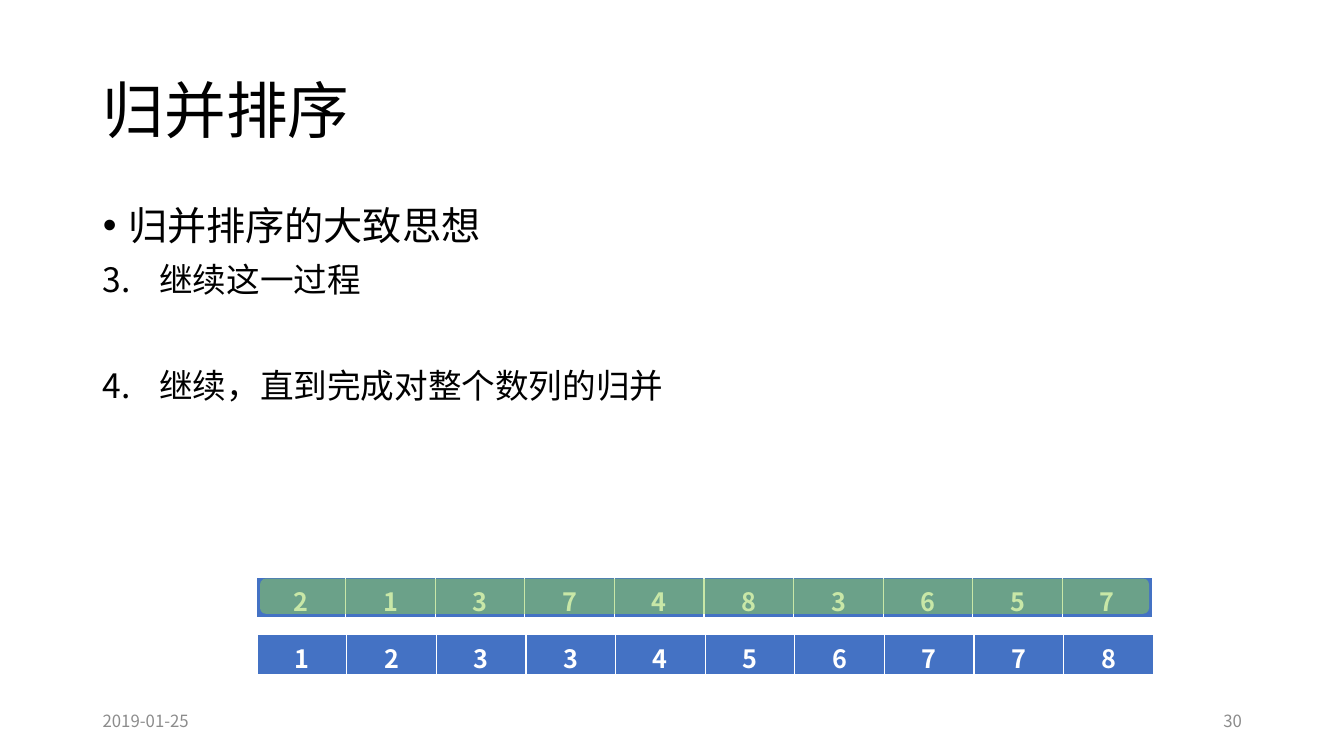
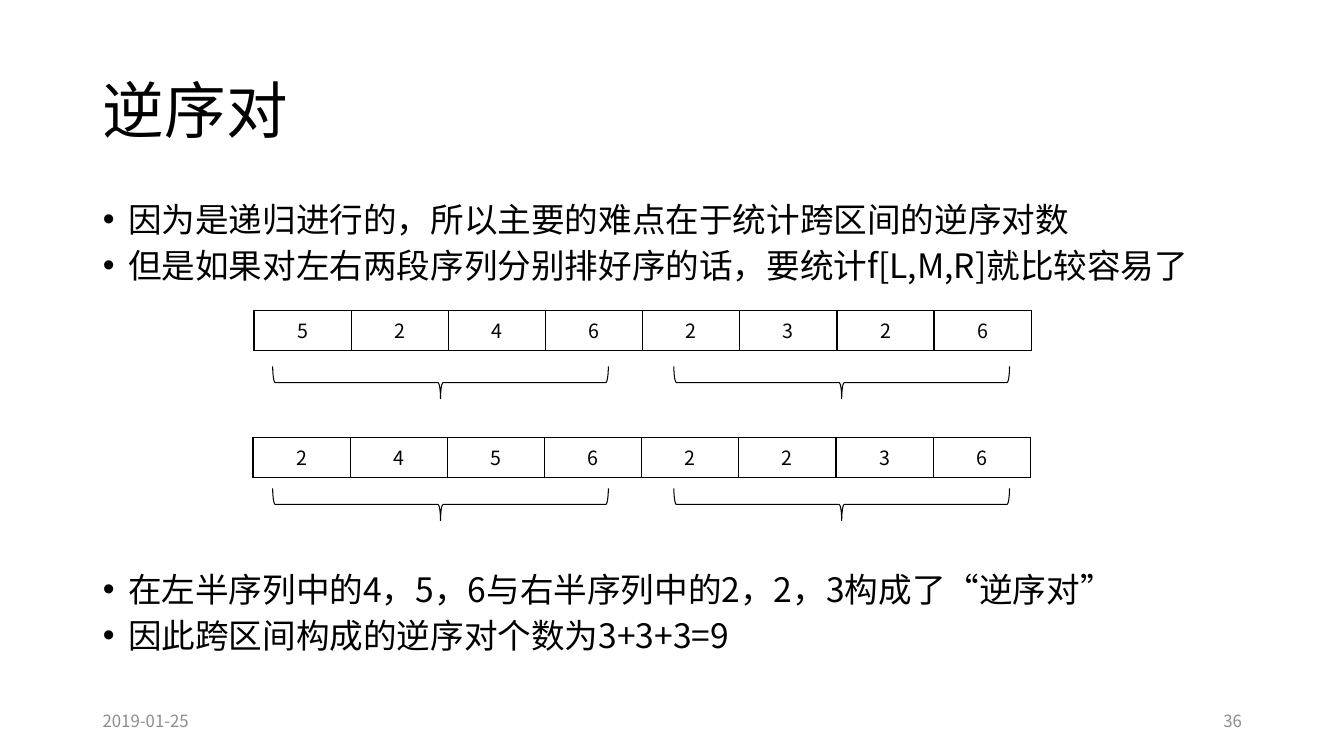
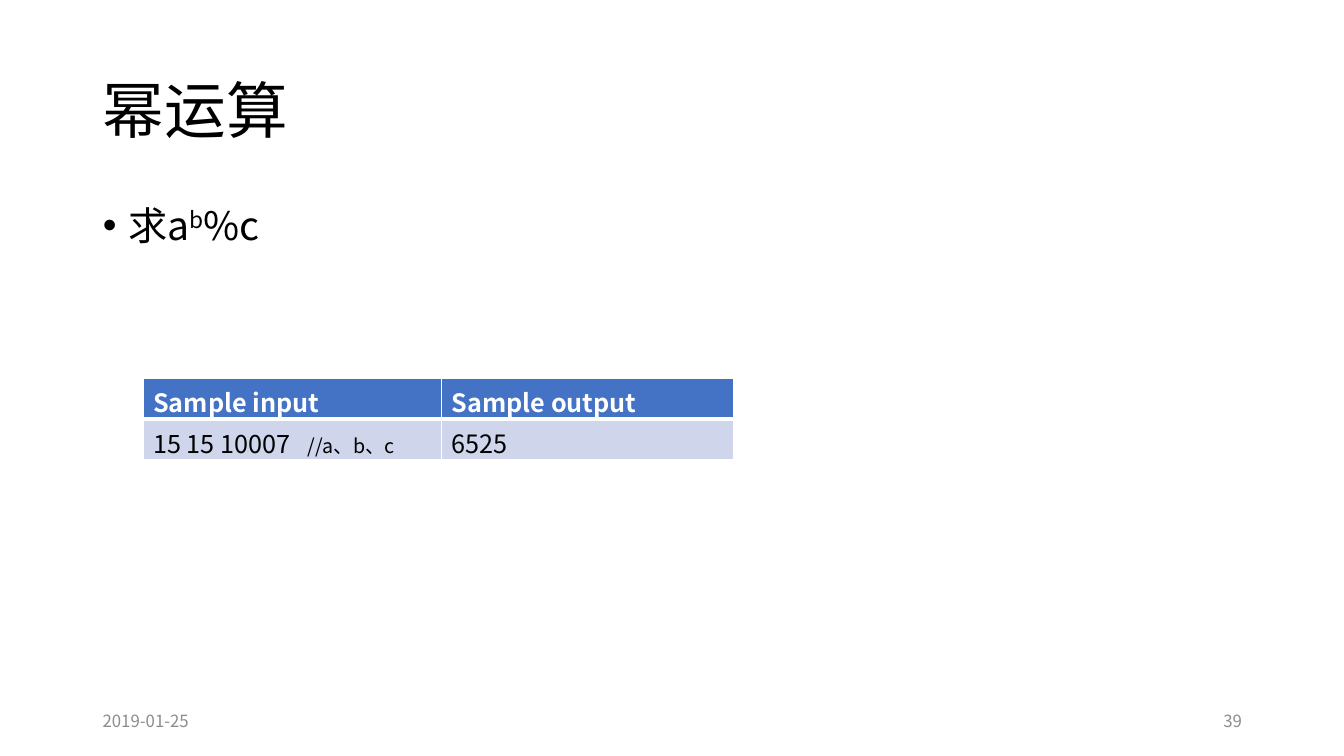
from dataclasses import dataclass

from lxml import etree
from pptx import Presentation
from pptx import util as u
from pptx.dml.color import RGBColor
from pptx.enum import shapes, text
from pptx.oxml import ns


# Theme: colours, type sizes and fixed places shared by all slides
@dataclass(frozen=True)
class Theme:
    font: str = "Noto Sans CJK SC"
    black: str = "000000"
    white: str = "FFFFFF"
    grey: str = "8C8C8C"
    blue: str = "4472C4"
    pale: str = "CFD5EA"
    green: str = "92D050"
    title: int = 44
    lead: int = 28
    item: int = 24
    cell: int = 18
    small: int = 14
    footer: int = 12


T = Theme()
SLIDE_W, SLIDE_H = u.Inches(13.333), u.Inches(7.5)
LEFT, WIDTH = 6.9, 86.25
TITLE_AREA = (LEFT, 5.33, WIDTH, 19.33)
BODY_AREA = (LEFT, 26.67, WIDTH, 63.47)
BODY_TOP = (LEFT, 26.67, WIDTH, 14.53)
BODY_BOTTOM = (LEFT, 75.6, WIDTH, 14.53)
FOOTER_TOP, FOOTER_W, FOOTER_H = 92.67, 22.5, 5.33
DATE = "2019-01-25"
LINE_SPACING, TIGHT_SPACING = 0.9, 0.8
WHITE_GRID = {"L": 1, "R": 1, "T": 1, "B": 3}
THIN_GRID = dict.fromkeys("LRTB", 1)


# Geometry and formatting
def area(x, y, w, h):
    """Turn percentages of the slide into left, top, width, height."""
    return (int(SLIDE_W * x / 100), int(SLIDE_H * y / 100),
            int(SLIDE_W * w / 100), int(SLIDE_H * h / 100))


def place(shape, box):
    shape.left, shape.top, shape.width, shape.height = area(*box)


def add_xml(parent, tag, **attributes):
    return etree.SubElement(parent, ns.qn(tag), attributes)


def style(paragraph, size, color=T.black, bold=False, align=None):
    paragraph.alignment = align
    for run in paragraph.runs:
        font = run.font
        font.size, font.bold, font.name = u.Pt(size), bold, T.font
        font.color.rgb = RGBColor.from_string(color)
        east_asian = etree.Element(ns.qn("a:ea"), typeface=T.font)
        run._r.rPr.find(ns.qn("a:latin")).addnext(east_asian)


# Titles, lists and footers
def add_footer(slide, x, words, align):
    box = slide.shapes.add_textbox(*area(x, FOOTER_TOP, FOOTER_W, FOOTER_H))
    frame = box.text_frame
    frame.word_wrap = True
    frame.vertical_anchor = text.MSO_ANCHOR.MIDDLE
    frame.text = words
    style(frame.paragraphs[0], T.footer, T.grey, align=align)


def new_slide(prs, layout, title, number):
    slide = prs.slides.add_slide(prs.slide_layouts.get_by_name(layout))
    heading = slide.shapes.title
    place(heading, TITLE_AREA)
    frame = heading.text_frame
    frame.vertical_anchor = text.MSO_ANCHOR.MIDDLE
    frame.text = title
    frame.paragraphs[0].line_spacing = LINE_SPACING
    style(frame.paragraphs[0], T.title, align=text.PP_ALIGN.LEFT)
    add_footer(slide, LEFT, DATE, text.PP_ALIGN.LEFT)
    add_footer(slide, LEFT + WIDTH - FOOTER_W, str(number), text.PP_ALIGN.RIGHT)
    return slide


def mark(paragraph, start=None):
    """Give a paragraph a bullet, or a number when a start is given."""
    indent = u.Inches(0.56 if start else 0.25)
    props = paragraph._p.get_or_add_pPr()
    props.set("marL", str(indent))
    props.set("indent", str(-indent))
    if start:
        add_xml(props, "a:buFont", typeface="+mj-lt")
        add_xml(props, "a:buAutoNum", type="arabicPeriod", startAt=str(start))
    else:
        add_xml(props, "a:buFont", typeface="Arial")
        add_xml(props, "a:buChar", char="•")


def fill_body(body, box, items, size, spacing=LINE_SPACING):
    place(body, box)
    frame = body.text_frame
    frame.text = "\n".join(items)
    frame.auto_size = text.MSO_AUTO_SIZE.TEXT_TO_FIT_SHAPE
    for item in frame.paragraphs:
        item.line_spacing, item.space_before = spacing, u.Pt(10)
        style(item, size)
    return frame.paragraphs


# Tables and shapes
def format_cell(cell, size, ink, fill, rule, borders, bold, align):
    style(cell.text_frame.paragraphs[0], size, ink, bold, align)
    props = cell._tc.get_or_add_tcPr()
    for side, points in borders.items():
        line = add_xml(props, f"a:ln{side}", w=str(u.Pt(points)))
        add_xml(add_xml(line, "a:solidFill"), "a:srgbClr", val=rule)
    if fill:
        cell.fill.solid()
        cell.fill.fore_color.rgb = RGBColor.from_string(fill)
    else:
        cell.fill.background()


def add_grid(slide, box, rows):
    frame = slide.shapes.add_table(len(rows), len(rows[0]), *area(*box))
    for row, words in zip(frame.table.rows, rows):
        for cell, word in zip(row.cells, words):
            cell.text_frame.text = word
    return frame.table


def add_sequence(slide, box, digits, **look):
    for cell in add_grid(slide, box, [digits]).iter_cells():
        format_cell(cell, align=text.PP_ALIGN.CENTER, **look)


def add_brace_pair(slide, top):
    pair = slide.shapes.add_group_shape()
    for half in range(2):
        brace = pair.shapes.add_shape(shapes.MSO_SHAPE.LEFT_BRACE,
                                      *area(31.58 + 29.85 * half, top, 2.4, 44.4))
        brace.rotation = 270
        brace.adjustments[0] = 0.08
        brace.shadow.inherit = False
        brace.fill.background()
        brace.line.color.rgb = RGBColor.from_string(T.black)
        brace.line.width = u.Pt(0.75)


def add_highlight(slide, box):
    band = slide.shapes.add_shape(shapes.MSO_SHAPE.ROUNDED_RECTANGLE, *area(*box))
    band.shadow.inherit = False
    band.line.fill.background()
    band.fill.solid()
    band.fill.fore_color.rgb = RGBColor.from_string(T.green)
    color = band._element.spPr.find(ns.qn("a:solidFill"))[0]
    add_xml(color, "a:alpha", val="50000")


# Slides
def merge_sort_slide(prs):
    slide = new_slide(prs, "Title and Content", "归并排序", 30)
    lead, step, last_step = fill_body(
        slide.placeholders[1], BODY_AREA,
        ["归并排序的大致思想", "继续这一过程", "继续，直到完成对整个数列的归并"], T.item)
    lead.runs[0].font.size = u.Pt(T.lead)
    mark(lead)
    mark(step, start=3)
    mark(last_step, start=3)
    last_step.space_before = u.Pt(50)

    look = dict(size=T.cell, ink=T.white, fill=T.blue, rule=T.white,
                borders=WHITE_GRID, bold=True)
    add_sequence(slide, (19.05, 76.4, 66.68, 5.47), "2137483657", **look)
    add_highlight(slide, (19.35, 76.53, 66.15, 4.67))
    add_sequence(slide, (19.13, 83.87, 66.68, 5.47), "1233456778", **look)


def inversions_slide(prs):
    slide = new_slide(prs, "Two Content", "逆序对", 36)
    lists = [
        (1, BODY_TOP, ["因为是递归进行的，所以主要的难点在于统计跨区间的逆序对数",
                       "但是如果对左右两段序列分别排好序的话，要统计f[L,M,R]就比较容易了"]),
        (2, BODY_BOTTOM, ["在左半序列中的4，5，6与右半序列中的2，2，3构成了“逆序对”",
                          "因此跨区间构成的逆序对个数为3+3+3=9"]),
    ]
    for index, box, items in lists:
        for item in fill_body(slide.placeholders[index], box, items,
                              T.item, TIGHT_SPACING):
            mark(item)

    look = dict(size=T.small, ink=T.black, fill=None, rule=T.black,
                borders=THIN_GRID, bold=False)
    for left, top, brace_top, digits in [(18.9, 41.07, 28.4, "52462326"),
                                         (18.83, 57.87, 44.53, "24562236")]:
        add_sequence(slide, (left, top, 57.83, 5.33), digits, **look)
        add_brace_pair(slide, brace_top)


def power_slide(prs):
    slide = new_slide(prs, "Title and Content", "幂运算", 39)
    formula, = fill_body(slide.placeholders[1], BODY_AREA, ["求a"], T.lead)
    for part in ("b", "%c"):
        formula.add_run().text = part
    style(formula, T.lead)
    formula.runs[1]._r.rPr.set("baseline", "30000")
    mark(formula)

    samples = add_grid(slide, (10.65, 50, 43.95, 10.8),
                       [["Sample input", "Sample output"], ["15 15 10007", "6525"]])
    for column, share in zip(samples.columns, (22.2, 21.75)):
        column.width = int(SLIDE_W * share / 100)

    # The remark after the input values starts at a tab stop
    values = samples.cell(1, 0).text_frame.paragraphs[0]
    remark = values.add_run()
    remark.text = "\t//a、b、c"
    tabs = add_xml(values._p.get_or_add_pPr(), "a:tabLst")
    add_xml(tabs, "a:tab", pos=str(u.Inches(1.53)), algn="l")

    looks = [dict(ink=T.white, fill=T.blue, borders=WHITE_GRID, bold=True),
             dict(ink=T.black, fill=T.pale, borders=THIN_GRID, bold=False)]
    for row, look in zip(samples.rows, looks):
        for cell in row.cells:
            format_cell(cell, T.cell, rule=T.white, align=text.PP_ALIGN.LEFT, **look)
    remark.font.size = u.Pt(T.small)


def main():
    prs = Presentation()
    prs.slide_width, prs.slide_height = SLIDE_W, SLIDE_H
    merge_sort_slide(prs)
    inversions_slide(prs)
    power_slide(prs)
    prs.save("out.pptx")


if __name__ == "__main__":
    main()
